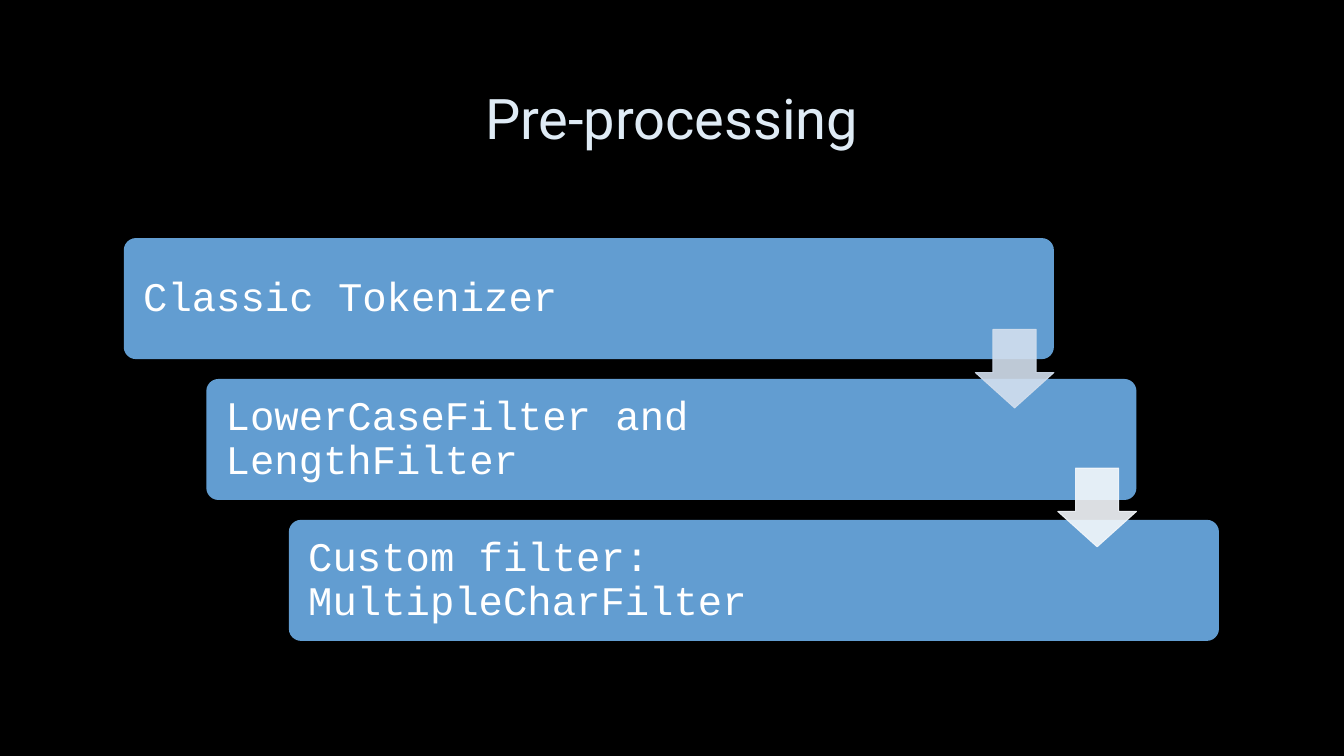
from lxml import etree
from pptx import Presentation
from pptx.dml.color import RGBColor
from pptx.enum import shapes, text
from pptx.oxml.ns import qn
from pptx.util import Cm, Pt

TITLE = "Pre-processing"
STEPS = [
    "Classic Tokenizer",
    "LowerCaseFilter and LengthFilter",
    "Custom filter: MultipleCharFilter",
]
COLORS = {
    "back": "000000",
    "title": "DFEBF5",
    "box": "629DD1",
    "text": "FFFFFF",
}
ARROWS = ["D3DFEE", "F3F7FB"]

# Staircase geometry in cm
LEFT, TOP = 3.12, 6
WIDE, HIGH = 23.44, 3.05
STEP_X, STEP_Y = 2.08, 3.55
SIZE, DROP = 1.98, 2.3
ARROW_Y = 3.5


def rgb(code):
    return RGBColor.from_string(code)


def add_shape(slide, kind, x, y, w, h, code):
    shape = slide.shapes.add_shape(kind, Cm(x), Cm(y), Cm(w), Cm(h))
    shape.shadow.inherit = False
    shape.fill.solid()
    shape.fill.fore_color.rgb = rgb(code)
    return shape


def style(par, font, size, code, align):
    par.alignment = align
    for run in par.runs:
        run.font.name = font
        run.font.size = Pt(size)
        run.font.color.rgb = rgb(code)


def add_step(slide, label, x, y):
    box = add_shape(slide, shapes.MSO_SHAPE.ROUNDED_RECTANGLE,
                    x, y, WIDE, HIGH, COLORS["box"])
    box.adjustments[0] = 0.1
    box.line.fill.background()
    frame = box.text_frame
    frame.text = label
    frame.word_wrap = True
    frame.vertical_anchor = text.MSO_ANCHOR.MIDDLE
    frame.margin_left, frame.margin_right = Cm(0.4), Cm(4.4)
    par = frame.paragraphs[0]
    par.line_spacing = 0.9
    style(par, "Courier New", 29, COLORS["text"], text.PP_ALIGN.LEFT)


def add_arrow(slide, code, x, y):
    arrow = add_shape(slide, shapes.MSO_SHAPE.DOWN_ARROW,
                      x, y, SIZE, SIZE, code)
    arrow.adjustments[0], arrow.adjustments[1] = 0.55, 0.45
    arrow.line.color.rgb = rgb(code)
    arrow.line.width = Pt(0.75)
    # Make fill and line slightly transparent
    for tint in arrow._element.spPr.iter(qn("a:srgbClr")):
        etree.SubElement(tint, qn("a:alpha")).set("val", "90000")


def main():
    deck = Presentation()
    deck.slide_width, deck.slide_height = Cm(33.87), Cm(19.05)
    slide = deck.slides.add_slide(deck.slide_layouts[5])
    slide.background.fill.solid()
    slide.background.fill.fore_color.rgb = rgb(COLORS["back"])

    # Title
    title = slide.shapes.title
    title.left, title.top = Cm(2.55), Cm(1.6)
    title.width, title.height = Cm(28.75), Cm(2.7)
    title.text_frame.text = TITLE
    title.text_frame.vertical_anchor = text.MSO_ANCHOR.MIDDLE
    style(title.text_frame.paragraphs[0], "Roboto", 40,
          COLORS["title"], text.PP_ALIGN.CENTER)

    # Steps, each lower and further right
    for i, label in enumerate(STEPS):
        add_step(slide, label, LEFT + i * STEP_X, TOP + i * STEP_Y)

    # Arrows, flush with the right edge of the step they leave
    for i, code in enumerate(ARROWS):
        add_arrow(slide, code, LEFT + WIDE - SIZE + i * STEP_X,
                  TOP + DROP + i * ARROW_Y)

    deck.save("out.pptx")


if __name__ == "__main__":
    main()
